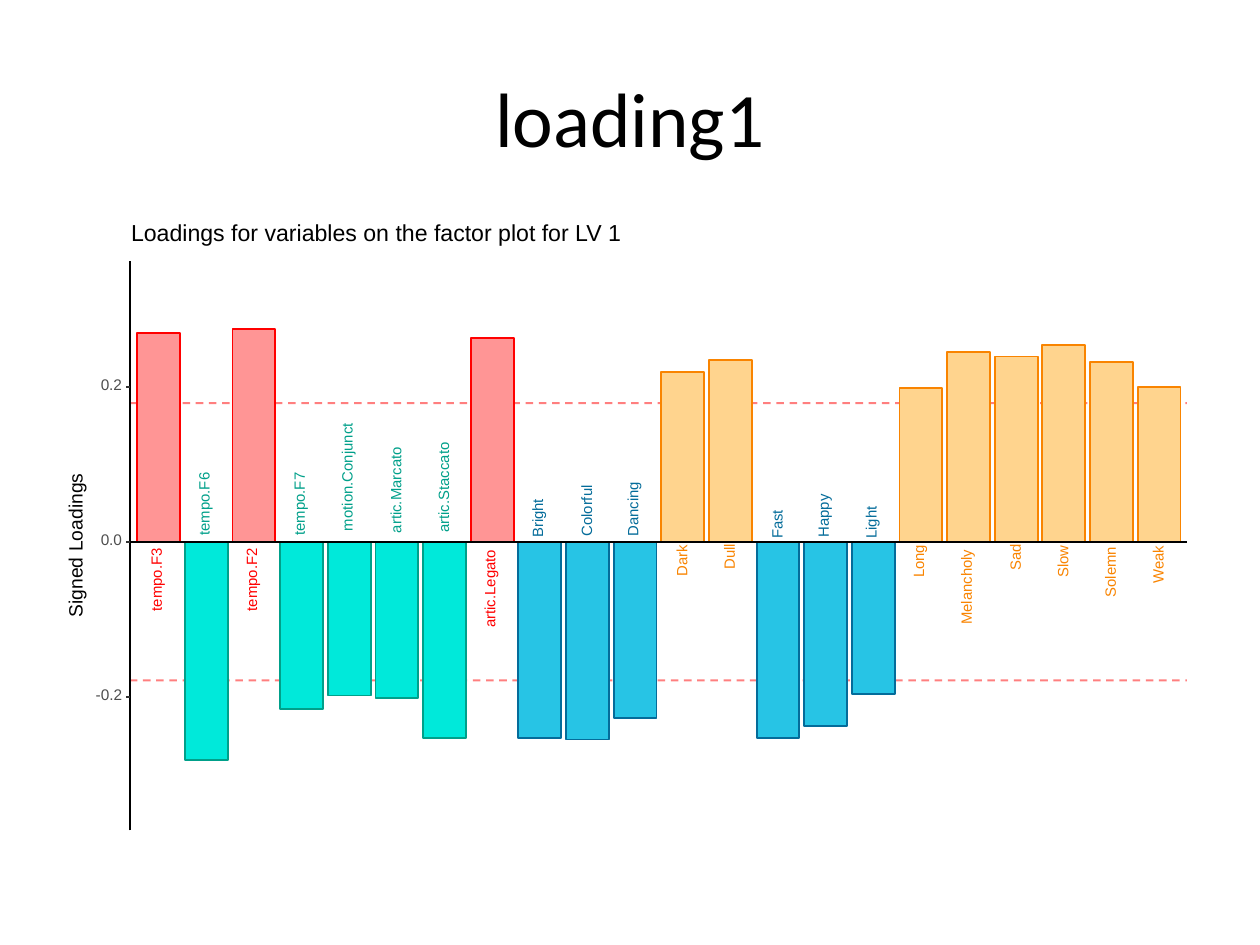
import pptx
import pptx.util
import pptx.dml.color
import pptx.enum.dml
import pptx.enum.shapes
import pptx.enum.text
import pptx.oxml.ns
import lxml.etree

Inches = pptx.util.Inches
Pt = pptx.util.Pt

COLORS = {
    "black": "000000", "white": "FFFFFF",
    "tick": "333333", "tick_label": "4D4D4D", "threshold": "FF0000",
    "red": "FF0000", "red_fill": "FF9595",
    "teal": "00A08A", "teal_fill": "00E9DA",
    "blue": "046C9A", "blue_fill": "27C4E5",
    "orange": "F98400", "orange_fill": "FFD48E",
}

AXIS_LEFT, AXIS_RIGHT, ZERO_Y = 1.03, 9.42, 4.3
PLOT_TOP, PLOT_BOTTOM = 2.07, 6.59
FIRST_BAR, LAST_BAR, BAR_WIDTH = 1.09, 9.03, 0.34
TICK_STEP, TICK_LENGTH, THRESHOLD = 1.23, 0.03, 1.1
LABEL_SLACK = 0.04

LOADINGS = [
    ("tempo.F3", 1.66, 0.5, "red"),
    ("tempo.F6", -1.73, 0.5, "teal"),
    ("tempo.F2", 1.69, 0.5, "red"),
    ("tempo.F7", -1.33, 0.5, "teal"),
    ("motion.Conjunct", -1.22, 0.86, "teal"),
    ("artic.Marcato", -1.24, 0.69, "teal"),
    ("artic.Staccato", -1.56, 0.72, "teal"),
    ("artic.Legato", 1.62, 0.62, "red"),
    ("Bright", -1.56, 0.31, "blue"),
    ("Colorful", -1.57, 0.41, "blue"),
    ("Dancing", -1.4, 0.43, "blue"),
    ("Dark", 1.35, 0.25, "orange"),
    ("Dull", 1.44, 0.2, "orange"),
    ("Fast", -1.56, 0.23, "blue"),
    ("Happy", -1.46, 0.34, "blue"),
    ("Light", -1.21, 0.26, "blue"),
    ("Long", 1.22, 0.26, "orange"),
    ("Melancholy", 1.51, 0.6, "orange"),
    ("Sad", 1.47, 0.21, "orange"),
    ("Slow", 1.56, 0.26, "orange"),
    ("Solemn", 1.43, 0.4, "orange"),
    ("Weak", 1.23, 0.3, "orange"),
]


class PlotSlide:
    font = "Arial"
    line_width = 1.07

    def __init__(self, presentation):
        self.slide = presentation.slides.add_slide(presentation.slide_layouts[6])

    def color(self, name):
        return pptx.dml.color.RGBColor.from_string(COLORS[name])

    def rectangle(self, left, top, width, height, fill, outline, line_width=line_width):
        shape = self.slide.shapes.add_shape(
            pptx.enum.shapes.MSO_SHAPE.RECTANGLE,
            Inches(left), Inches(top), Inches(width), Inches(height))
        shape.shadow.inherit = False
        shape.fill.solid()
        shape.fill.fore_color.rgb = self.color(fill)
        shape.line.color.rgb = self.color(outline)
        shape.line.width = Pt(line_width)

    def line(self, x1, y1, x2, y2, color, dashed=False):
        connector = self.slide.shapes.add_connector(
            pptx.enum.shapes.MSO_CONNECTOR.STRAIGHT,
            Inches(x1), Inches(y1), Inches(x2), Inches(y2))
        connector.line.color.rgb = self.color(color)
        connector.line.width = Pt(self.line_width)
        qn = pptx.oxml.ns.qn
        properties = connector._element.spPr
        if dashed:
            connector.line.dash_style = pptx.enum.dml.MSO_LINE.DASH
            fill = properties.find(".//" + qn("a:srgbClr"))
            lxml.etree.SubElement(fill, qn("a:alpha")).set("val", "50000")
        lxml.etree.SubElement(properties, qn("a:effectLst"))

    def text(self, text, left, top, width, height, size, color,
             rotation=0, font=None, centered=False):
        box = self.slide.shapes.add_textbox(
            Inches(left), Inches(top), Inches(width), Inches(height))
        box.rotation = rotation
        frame = box.text_frame
        frame.margin_left = frame.margin_right = frame.margin_top = frame.margin_bottom = 0
        frame.word_wrap = centered
        frame.vertical_anchor = pptx.enum.text.MSO_ANCHOR.MIDDLE
        frame.text = text
        paragraph = frame.paragraphs[0]
        if centered:
            paragraph.alignment = pptx.enum.text.PP_ALIGN.CENTER
        else:
            paragraph.line_spacing = Pt(size)
        run = paragraph.runs[0]
        run.font.name = font or self.font
        run.font.size = Pt(size)
        run.font.color.rgb = self.color(color)

    def vertical_text(self, text, center_x, center_y, length, height, size, color):
        box_length = length + LABEL_SLACK
        box_center_y = center_y - LABEL_SLACK / 2
        self.text(text, center_x - box_length / 2, box_center_y - height / 2,
                  box_length, height, size, color, rotation=270)


presentation = pptx.Presentation()
presentation.slide_width = Inches(10)
presentation.slide_height = Inches(7.5)
plot = PlotSlide(presentation)

plot.text("loading1", 0.5, 0.3, 9, 1.25, 44, "black", font="Calibri", centered=True)

for panel_line in (0.75, 1.07):
    plot.rectangle(0.5, 1.75, 9, 4.95, "white", "white", panel_line)

for offset in (-THRESHOLD, THRESHOLD):
    plot.line(AXIS_LEFT, ZERO_Y + offset, AXIS_RIGHT, ZERO_Y + offset, "threshold", dashed=True)

pitch = (LAST_BAR - FIRST_BAR) / (len(LOADINGS) - 1)
for index, (name, height, length, color) in enumerate(LOADINGS):
    plot.rectangle(FIRST_BAR + index * pitch, ZERO_Y - max(height, 0),
                   BAR_WIDTH, abs(height), color + "_fill", color)

for index, (name, height, length, color) in enumerate(LOADINGS):
    center_x = FIRST_BAR + index * pitch + BAR_WIDTH / 2
    side = 1 if height > 0 else -1
    has_descender = bool(set("gjpy") & set(name))
    plot.vertical_text(name, center_x - 0.01 * has_descender, ZERO_Y + side * 0.6 * length,
                       length, 0.11 if has_descender else 0.09, 8.5, color)

plot.line(AXIS_LEFT, ZERO_Y, AXIS_RIGHT, ZERO_Y, "black")
plot.line(AXIS_LEFT, PLOT_BOTTOM, AXIS_LEFT, PLOT_TOP, "black")

for step, (label, width) in enumerate([("-0.2", 0.21), ("0.0", 0.17), ("0.2", 0.17)], -1):
    tick_y = ZERO_Y - step * TICK_STEP
    plot.text(label, 0.97 - width, tick_y - 0.05, width, 0.09, 8.8, "tick_label")
    plot.line(AXIS_LEFT - TICK_LENGTH, tick_y, AXIS_LEFT, tick_y, "tick")

plot.vertical_text("Signed Loadings", 0.61, 4.33, 1.14, 0.14, 11, "black")
plot.text("Loadings for variables on the factor plot for LV 1",
          1.04, 1.78, 3.9, 0.17, 13.2, "black")

presentation.save("out.pptx")
